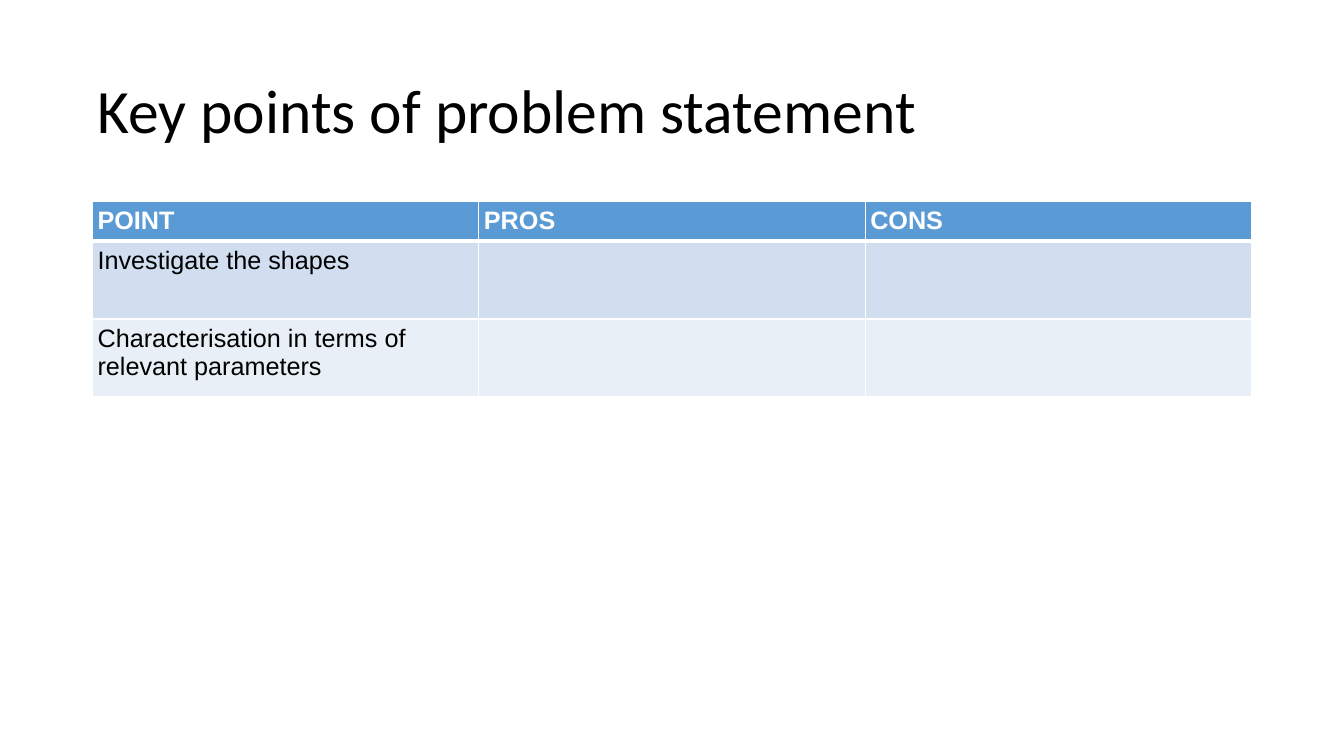
"""Build a slide with a title and a table of points, pros and cons."""
import dataclasses
import typing

import pptx
import pptx.dml.color
import pptx.enum.text
import pptx.oxml
import pptx.oxml.ns
import pptx.util

Cm = pptx.util.Cm
Pt = pptx.util.Pt


@dataclasses.dataclass(frozen=True)
class Theme:
    white: str = "FFFFFF"
    black: str = "000000"
    blue: str = "5B9BD5"
    mid: str = "D0DEEF"
    pale: str = "E9EFF7"
    title: float = 44
    body: float = 18
    head: str = "Calibri"
    text: str = "Arial"
    thin: float = 1
    thick: float = 3


@dataclasses.dataclass(frozen=True)
class Row:
    cells: tuple[str, str, str]
    high: float
    fill: str
    ink: str
    bold: bool = False
    top: float = 1
    base: float = 1


THEME = Theme()
LEFT, WIDE, INSET = Cm(2.33), Cm(29.21), Cm(0.13)
PADS = {"margin_" + side: INSET for side in ("left", "top", "right", "bottom")}
ROWS = (
    Row(("POINT", "PROS", "CONS"), 1, THEME.blue, THEME.white, bold=True, base=THEME.thick),
    Row(("Investigate the shapes", "", ""), 1.96, THEME.mid, THEME.black, top=THEME.thick),
    Row(("Characterisation in terms of relevant parameters", "", ""), 1.96, THEME.pale, THEME.black),
)


def format(item: typing.Any, values: dict[str, typing.Any]) -> None:
    for name, value in values.items():
        setattr(item, name, value)


def ink(font: typing.Any, color: str, **values: typing.Any) -> None:
    format(font, values)
    font.color.rgb = pptx.dml.color.RGBColor.from_string(color)


def border(cell: typing.Any, row: Row) -> None:
    lines = {"L": THEME.thin, "R": THEME.thin, "T": row.top, "B": row.base}
    props = cell._tc.get_or_add_tcPr()
    for spot, (side, width) in enumerate(lines.items()):
        props.insert(spot, pptx.oxml.parse_xml(
            f'<a:ln{side} {pptx.oxml.ns.nsdecls("a")} w="{Pt(width)}"><a:solidFill>'
            f'<a:srgbClr val="{THEME.white}"/></a:solidFill></a:ln{side}>'))


def draw_title(slide: typing.Any, words: str) -> None:
    title = slide.shapes.title
    format(title, {"left": LEFT, "top": Cm(1.01), "width": WIDE, "height": Cm(3.68)})
    frame = title.text_frame
    format(frame, PADS | {
        "text": words, "word_wrap": True,
        "auto_size": pptx.enum.text.MSO_AUTO_SIZE.NONE,
        "vertical_anchor": pptx.enum.text.MSO_ANCHOR.MIDDLE})
    line = frame.paragraphs[0]
    format(line, {"alignment": pptx.enum.text.PP_ALIGN.LEFT, "line_spacing": 0.9})
    ink(line.runs[0].font, THEME.black, name=THEME.head, size=Pt(THEME.title))


def draw_table(slide: typing.Any, rows: tuple[Row, ...]) -> None:
    high = Cm(sum(row.high for row in rows))
    table = slide.shapes.add_table(
        len(rows), len(rows[0].cells), LEFT, Cm(5.08), WIDE, high).table
    for line, row in zip(table.rows, rows):
        line.height = Cm(row.high)
        for cell, words in zip(line.cells, row.cells):
            format(cell, PADS | {"text": words})
            cell.fill.solid()
            cell.fill.fore_color.rgb = pptx.dml.color.RGBColor.from_string(row.fill)
            border(cell, row)
            for run in cell.text_frame.paragraphs[0].runs:
                ink(run.font, row.ink, name=THEME.text, size=Pt(THEME.body), bold=row.bold)


def main() -> None:
    deck = pptx.Presentation()
    format(deck, {"slide_width": Cm(33.87), "slide_height": Cm(19.05)})
    slide = deck.slides.add_slide(deck.slide_layouts.get_by_name("Title Only"))
    draw_title(slide, "Key points of problem statement")
    draw_table(slide, ROWS)
    deck.save("out.pptx")


main()
